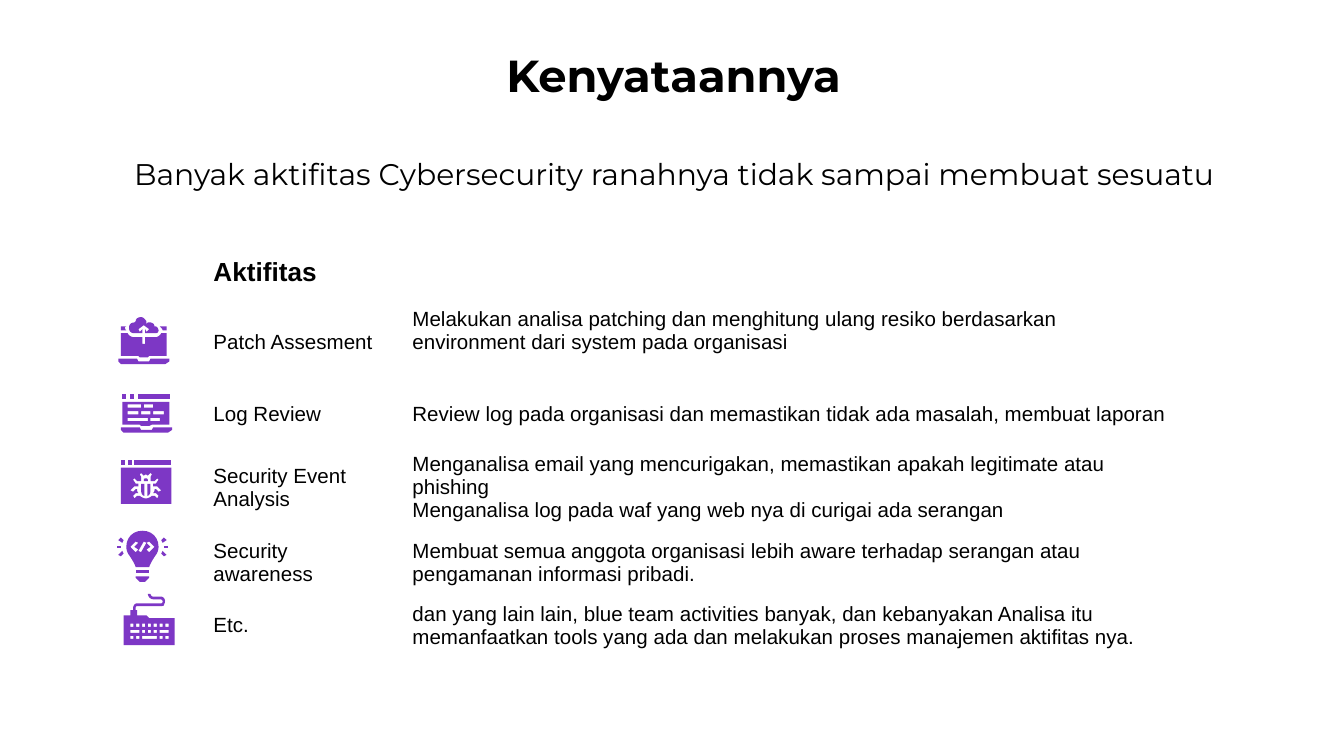
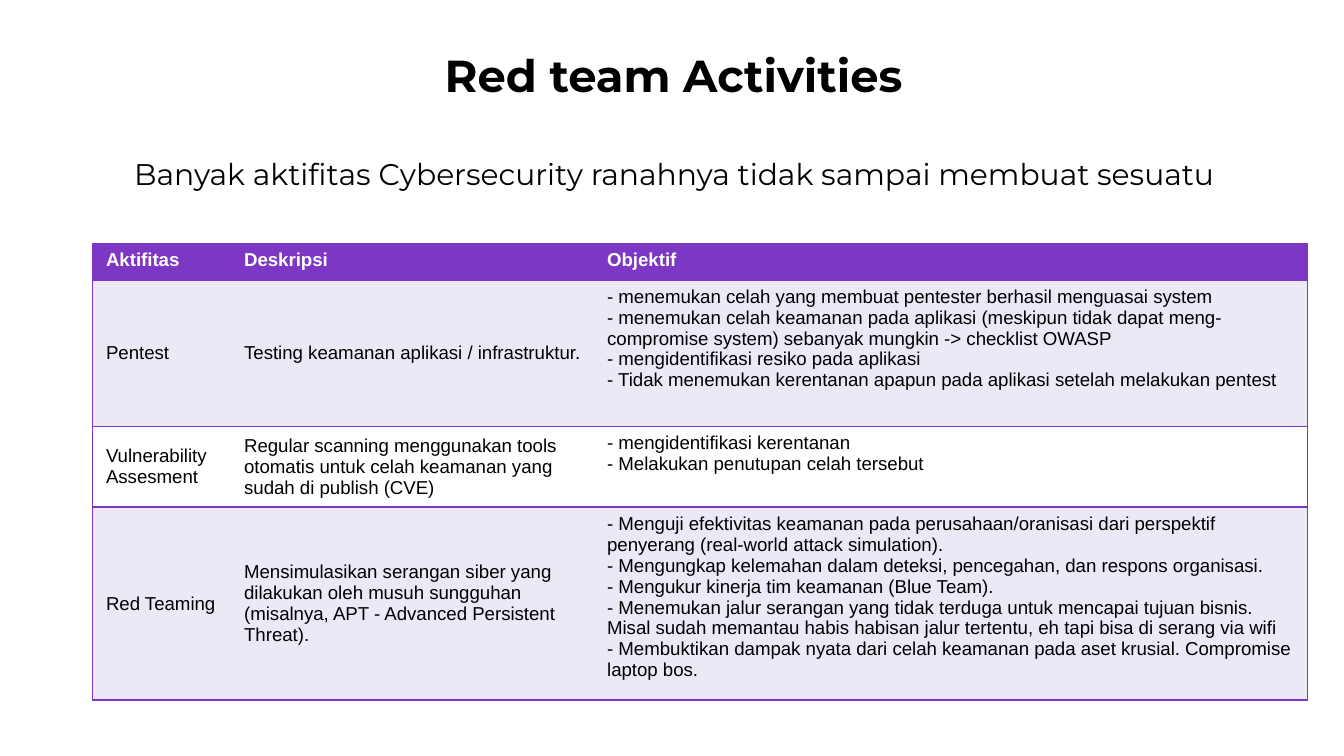
from dataclasses import dataclass

from lxml.etree import SubElement
from pptx import Presentation
from pptx.dml.color import RGBColor
from pptx.enum.text import MSO_ANCHOR, PP_ALIGN
from pptx.oxml.ns import qn
from pptx.util import Cm, Pt

PURPLE = RGBColor(0x7D, 0x37, 0xC5)
LILAC = RGBColor(0xEC, 0xE8, 0xF5)
WHITE = RGBColor(0xFF, 0xFF, 0xFF)
BLACK = RGBColor(0x00, 0x00, 0x00)
HEADING_FONT = "Montserrat"
BODY_FONT = "Arial"
SUBTITLE = "Banyak aktifitas Cybersecurity ranahnya tidak sampai membuat sesuatu"

# Icon outlines use hundredths of an inch; a step of six numbers is a cubic curve.
ICON_UNIT = 0.0254
Step = tuple[float, ...]
Contour = list[Step]
Piece = list[Contour]


@dataclass(frozen=True)
class Box:
    left: float
    top: float
    width: float
    height: float


@dataclass(frozen=True)
class Icon:
    left: float
    top: float
    pieces: list[Piece]


@dataclass(frozen=True)
class Grid:
    box: Box
    columns: list[float]
    rows: list[float]


TITLE_BOX = Box(2.01, 0.66, 21.44, 1.52)
SUBTITLE_BOX = Box(1.98, 2.41, 21.54, 1.75)
REALITY_GRID = Grid(Box(1.7, 4.62, 20.78, 6.43), [2.08, 3.76, 14.94],
                    [1.04, 1.53, 1.11, 1.53, 1.11, 1.11])
RED_TEAM_GRID = Grid(Box(1.75, 4.6, 22.96, 8.33), [2.61, 6.86, 13.49],
                     [0.69, 2.77, 1.47, 3.4])

ACTIVITIES = [
    ("Patch Assesment", "Melakukan analisa patching dan menghitung ulang resiko "
     "berdasarkan environment dari system pada organisasi"),
    ("Log Review", "Review log pada organisasi dan memastikan tidak ada masalah, "
     "membuat laporan"),
    ("Security Event Analysis",
     "Menganalisa email yang mencurigakan, memastikan apakah legitimate atau phishing\n"
     "Menganalisa log pada waf yang web nya di curigai ada serangan"),
    ("Security awareness", "Membuat semua anggota organisasi lebih aware terhadap "
     "serangan atau pengamanan informasi pribadi."),
    ("Etc.", "dan yang lain lain, blue team activities banyak, dan kebanyakan Analisa "
     "itu memanfaatkan tools yang ada dan melakukan proses manajemen aktifitas nya."),
]

RED_TEAM = [
    ("Aktifitas", "Deskripsi", "Objektif"),
    ("Pentest", "Testing keamanan aplikasi / infrastruktur.",
     "- menemukan celah yang membuat pentester berhasil menguasai system\n"
     "- menemukan celah keamanan pada aplikasi (meskipun tidak dapat meng-compromise "
     "system) sebanyak mungkin -> checklist OWASP\n"
     "- mengidentifikasi resiko pada aplikasi\n"
     "- Tidak menemukan kerentanan apapun pada aplikasi setelah melakukan pentest"),
    ("Vulnerability Assesment",
     "Regular scanning menggunakan tools otomatis untuk celah keamanan yang sudah di "
     "publish (CVE)",
     "- mengidentifikasi kerentanan\n- Melakukan penutupan celah tersebut"),
    ("Red Teaming",
     "Mensimulasikan serangan siber yang dilakukan oleh musuh sungguhan (misalnya, "
     "APT - Advanced Persistent Threat).",
     "- Menguji efektivitas keamanan pada perusahaan/oranisasi dari perspektif "
     "penyerang (real-world attack simulation).\n"
     "- Mengungkap kelemahan dalam deteksi, pencegahan, dan respons organisasi.\n"
     "- Mengukur kinerja tim keamanan (Blue Team).\n"
     "- Menemukan jalur serangan yang tidak terduga untuk mencapai tujuan bisnis. "
     "Misal sudah memantau habis habisan jalur tertentu, eh tapi bisa di serang via wifi\n"
     "- Membuktikan dampak nyata dari celah keamanan pada aset krusial. "
     "Compromise laptop bos."),
]


# Outline helpers
def flatten(contour: Contour, segments: int = 6) -> Contour:
    """Replace every curve by short straight steps."""
    points: Contour = []
    for step in contour:
        if len(step) == 2:
            points.append(step)
            continue
        controls = [points[-1], step[0:2], step[2:4], step[4:6]]
        for index in range(1, segments + 1):
            t = index / segments
            weights = ((1 - t) ** 3, 3 * t * (1 - t) ** 2, 3 * t * t * (1 - t), t ** 3)
            points.append(tuple(
                sum(weight * control[axis] for weight, control in zip(weights, controls))
                for axis in (0, 1)))
    return points


def rect(left: float, top: float, width: float, height: float) -> Contour:
    right, bottom = left + width, top + height
    return [(left, top), (right, top), (right, bottom), (left, bottom)]


def mirror(contour: Contour, width: float) -> Contour:
    return [(width - x, y) for x, y in reversed(flatten(contour))]


def symmetric(half: Contour, width: float) -> Contour:
    return flatten(half) + mirror(half, width)


def laptop_base(top: float) -> Piece:
    return [[(x, y + top) for x, y in (
        (0, 0), (0, 2), (2, 4), (35, 4), (38, 2), (38, 0),
        (24, 0), (23, 2), (15, 2), (14, 0))]]


def browser_bar(left: float, pitch: float, width: float) -> list[Piece]:
    return [[rect(left + index * pitch, 0, size, 4)]
            for index, size in enumerate((3, 3, width))]


# Icons
def patch_icon() -> Icon:
    cloud = [(17, 0), (15, 0, 13, 1, 13, 3), (12, 4), (9, 4, 8, 6, 8, 8),
             (8, 11, 10, 12, 12, 12), (18, 12), (18, 9), (16, 11), (15, 9), (19, 6),
             (23, 9), (21, 11), (20, 9), (20, 12), (28, 12), (29, 12, 30, 11, 30, 10),
             (30, 9, 29, 7, 28, 7), (27, 7), (27, 5, 25, 4, 24, 4), (23, 4, 23, 4, 22, 4),
             (21, 5), (21, 3), (20, 2, 19, 0, 17, 0)]
    screen = [(2, 12), (2, 29), (15, 29), (16, 30), (22, 30), (23, 29), (36, 29), (36, 12),
              (32, 12), (31, 14, 29, 15, 28, 15), (20, 15), (20, 20), (18, 20), (18, 15),
              (12, 15), (10, 15, 8, 14, 7, 12)]
    left_corner = [(2, 7), (2, 10), (6, 10), (6, 10, 5, 9, 5, 8), (5, 8, 5, 7, 6, 7)]
    right_corner = [(31, 7), (32, 8, 33, 9, 33, 10), (36, 10), (36, 7)]
    return Icon(88, 236, [[right_corner], [cloud], [left_corner, screen], laptop_base(31)])


def log_icon() -> Icon:
    screen = [(1, 6), (1, 23), (14, 23), (15, 24), (21, 24), (23, 23), (36, 23), (36, 6)]
    lines = [(5, 8, 10), (17, 8, 7), (5, 13, 8), (15, 13, 7), (24, 13, 8),
             (5, 18, 15), (22, 18, 7)]
    holes = [rect(left, top, width, 2.3) for left, top, width in lines]
    return Icon(90, 293, [*browser_bar(1, 5.7, 24), holes + [screen], laptop_base(25)])


def event_icon() -> Icon:
    width = 37
    half_bug = [(18.5, 11), (20, 12), (22, 10), (23, 11), (22, 13), (22, 16), (25, 16),
                (27, 14), (28, 15), (26, 18), (24, 18), (24, 20), (27, 20), (30, 23),
                (28, 24), (26, 22), (25, 22), (25, 23, 25, 24, 24, 25), (26, 25), (28, 27),
                (27, 29), (25, 27), (23, 27), (22, 28, 20, 29, 18.5, 29)]
    head = [(17, 16), (17, 15), (17, 13.7, 20, 13.7, 20, 15), (20, 16)]
    wing = [(15, 18), (15, 23), (15, 25, 16, 27, 17.4, 27), (17.4, 18)]
    body = [symmetric(half_bug, width), rect(0, 6, 37.5, 27)]
    return Icon(90, 342, [[head], *browser_bar(0, 5, 27), body, [wing],
                          [mirror(wing, width)]])


def awareness_icon() -> Icon:
    width = 38
    rays = [rect(0, 11, 3, 2), [(3, 5), (1, 7), (4, 9), (5, 7)],
            [(4, 15), (1, 18), (3, 19), (5, 17)]]
    bracket = [(14, 8), (16, 9), (13, 12), (16, 14), (14, 16), (10, 12)]
    slash = [(20, 8), (22, 9), (18, 16), (16, 15)]
    half_bulb = [(19, 0), (12, 0, 7, 5, 7, 12), (7, 14, 8, 17, 9, 18),
                 (11, 21, 13, 24, 14, 27)]
    bulb = [bracket, mirror(bracket, width), slash, symmetric(half_bulb, width)]
    foot = [(14, 34), (14, 35), (17, 38), (21, 38), (24, 35), (24, 34)]
    return Icon(87, 395, [*([ray] for ray in rays), *([mirror(ray, width)] for ray in rays),
                          [rect(14, 29, 10, 2.5)], [foot], bulb])


def keyboard_icon() -> Icon:
    pitch, gap = 4.35, 2.05
    keys: Piece = []
    for row, spans in enumerate([(1,) * 7, (2, 1, 1, 1, 2), (1, 1, 3, 1, 1)]):
        left = 5.0
        for span in spans:
            keys.append(rect(left, 22.2 + row * 4.5, span * pitch - gap, 2.3))
            left += span * pitch
    outline = [(18, 0), (18, 2, 20, 4, 22, 4), (28, 4), (28, 4, 29, 5, 29, 5),
               (29, 6, 29, 7, 28, 7), (10, 7), (8, 7, 7, 9, 7, 11), (7, 12), (5, 12),
               (5, 16), (0, 16), (0, 38), (38, 38), (38, 18), (19, 18), (17, 16), (10, 16),
               (10, 12), (9, 12), (9, 10), (9, 10, 9, 9, 10, 9), (28, 9),
               (29, 9, 30, 9, 30, 8), (32, 5, 30, 2, 28, 2), (22, 2), (21, 2, 20, 1, 20, 0)]
    return Icon(92, 442, [keys + [outline]])


def draw_icon(slide, icon: Icon) -> None:
    shapes = []
    for piece in icon.pieces:
        builder = None
        for contour in piece:
            points = [(Cm((icon.left + x) * ICON_UNIT), Cm((icon.top + y) * ICON_UNIT))
                      for x, y in flatten(contour)]
            if builder is None:
                builder = slide.shapes.build_freeform(*points[0])
            else:
                builder.move_to(*points[0])
            builder.add_line_segments(points[1:], close=True)
        shape = builder.convert_to_shape()
        shape.shadow.inherit = False
        shape.fill.solid()
        shape.fill.fore_color.rgb = PURPLE
        shape.line.fill.background()
        shapes.append(shape)
    if len(shapes) > 1:
        slide.shapes.add_group_shape(shapes)


# Text and tables
def write_text(frame, text: str, *, size: float, font: str = BODY_FONT,
               color: RGBColor = BLACK, bold: bool = False,
               align: PP_ALIGN = PP_ALIGN.LEFT) -> None:
    frame.word_wrap = True
    for index, line in enumerate(text.split("\n")):
        paragraph = frame.paragraphs[0] if index == 0 else frame.add_paragraph()
        paragraph.alignment = align
        run = paragraph.add_run()
        run.text = line
        run.font.name = font
        run.font.size = Pt(size)
        run.font.bold = bold
        run.font.color.rgb = color


def add_heading(slide, box: Box, text: str, *, size: float, bold: bool,
                anchor: MSO_ANCHOR) -> None:
    shape = slide.shapes.add_textbox(Cm(box.left), Cm(box.top), Cm(box.width), Cm(box.height))
    frame = shape.text_frame
    frame.margin_left = frame.margin_right = frame.margin_top = frame.margin_bottom = Cm(0.25)
    frame.vertical_anchor = anchor
    write_text(frame, text, size=size, font=HEADING_FONT, bold=bold, align=PP_ALIGN.CENTER)


def add_slide(presentation, title: str):
    slide = presentation.slides.add_slide(presentation.slide_layouts[6])
    add_heading(slide, TITLE_BOX, title, size=24, bold=True, anchor=MSO_ANCHOR.TOP)
    add_heading(slide, SUBTITLE_BOX, SUBTITLE, size=16, bold=False, anchor=MSO_ANCHOR.MIDDLE)
    return slide


def add_grid(slide, grid: Grid):
    box = grid.box
    table = slide.shapes.add_table(len(grid.rows), len(grid.columns), Cm(box.left),
                                   Cm(box.top), Cm(box.width), Cm(box.height)).table
    table.first_row = table.horz_banding = False
    for column, width in zip(table.columns, grid.columns):
        column.width = Cm(width)
    for row, height in zip(table.rows, grid.rows):
        row.height = Cm(height)
    for cell in table.iter_cells():
        cell.fill.background()
        cell.vertical_anchor = MSO_ANCHOR.MIDDLE
    return table


def set_borders(cell, visible: str) -> None:
    """Draw the named sides (L, R, T, B) and clear the others."""
    properties = cell._tc.get_or_add_tcPr()
    for position, side in enumerate("LRTB"):
        line = properties.makeelement(qn(f"a:ln{side}"), {"w": str(Pt(1))})
        properties.insert(position, line)
        if side in visible:
            fill = SubElement(line, qn("a:solidFill"))
            SubElement(fill, qn("a:srgbClr"), val=str(PURPLE))
        else:
            SubElement(line, qn("a:noFill"))


# Slides
def build_reality_slide(presentation) -> None:
    slide = add_slide(presentation, "Kenyataannya")
    table = add_grid(slide, REALITY_GRID)
    write_text(table.cell(0, 1).text_frame, "Aktifitas", size=14, bold=True)
    for row, texts in enumerate(ACTIVITIES, start=1):
        for column, text in enumerate(texts, start=1):
            write_text(table.cell(row, column).text_frame, text, size=11)
    table.cell(1, 2).margin_bottom = Cm(0.56)
    for icon in (patch_icon(), log_icon(), event_icon(), awareness_icon(), keyboard_icon()):
        draw_icon(slide, icon)


def build_red_team_slide(presentation) -> None:
    slide = add_slide(presentation, "Red team Activities")
    table = add_grid(slide, RED_TEAM_GRID)
    for row, texts in enumerate(RED_TEAM):
        header = row == 0
        for column, text in enumerate(texts):
            cell = table.cell(row, column)
            cell.fill.solid()
            cell.fill.fore_color.rgb = PURPLE if header else (LILAC if row % 2 else WHITE)
            if header or column == 2:
                cell.vertical_anchor = MSO_ANCHOR.TOP
            write_text(cell.text_frame, text, size=10, bold=header,
                       color=WHITE if header else BLACK)
            set_borders(cell, ("LTB", "TB", "RTB")[column])


def main() -> None:
    presentation = Presentation()
    presentation.slide_width, presentation.slide_height = Cm(25.4), Cm(14.29)
    build_reality_slide(presentation)
    build_red_team_slide(presentation)
    presentation.save("out.pptx")


if __name__ == "__main__":
    main()
